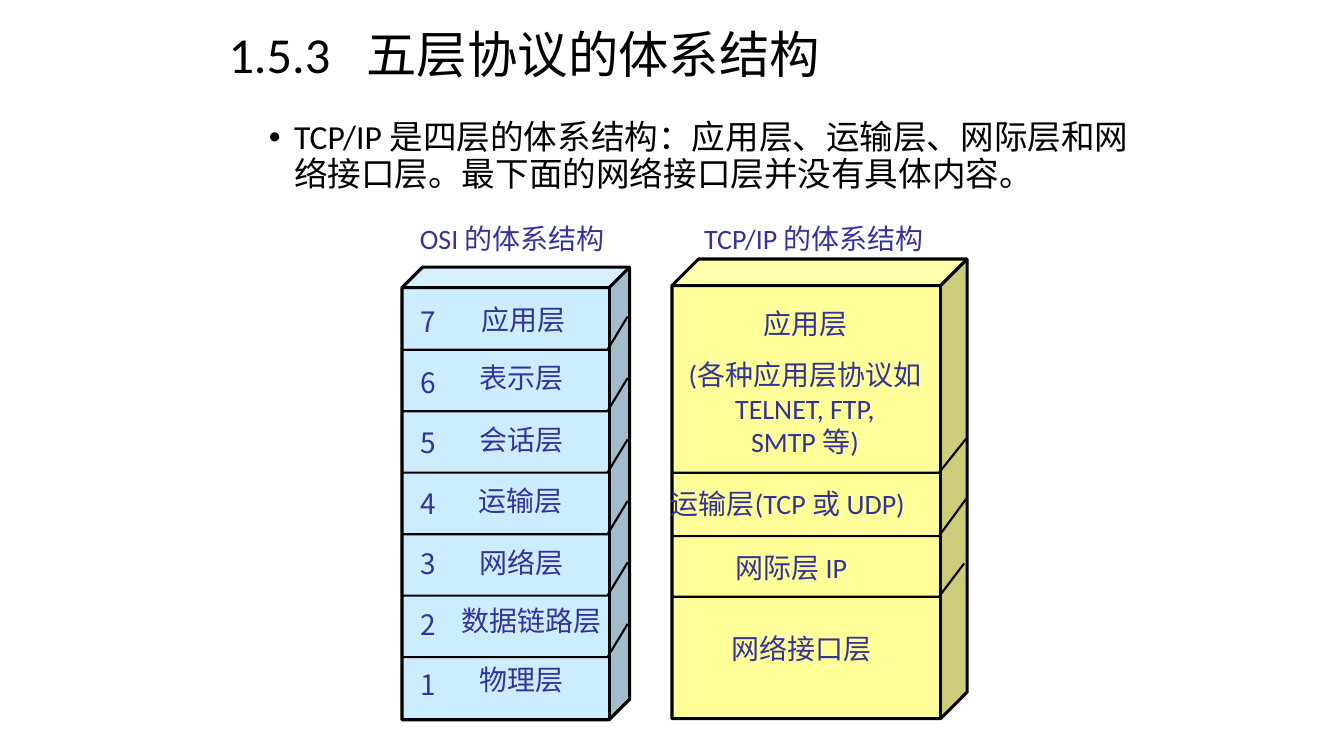
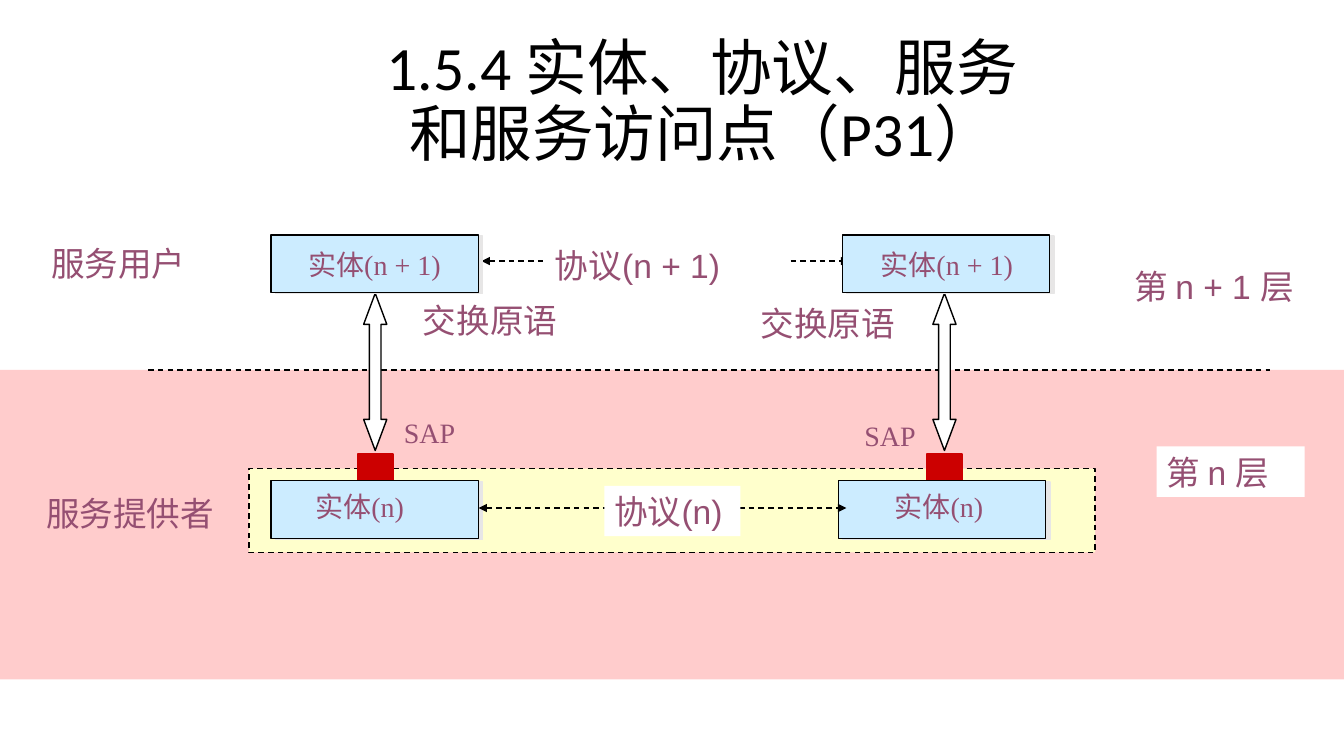
from dataclasses import dataclass

from lxml import etree
from pptx import Presentation
from pptx.dml.color import RGBColor
from pptx.enum.dml import MSO_LINE
from pptx.enum.shapes import MSO_CONNECTOR, MSO_SHAPE
from pptx.enum.text import MSO_ANCHOR, MSO_AUTO_SIZE, PP_ALIGN
from pptx.oxml.ns import qn
from pptx.util import Inches, Pt

CUBE = MSO_SHAPE.CUBE
RECTANGLE = MSO_SHAPE.RECTANGLE
UP_DOWN_ARROW = MSO_SHAPE.UP_DOWN_ARROW
STRAIGHT = MSO_CONNECTOR.STRAIGHT
DASH = MSO_LINE.DASH
LEFT, CENTER = PP_ALIGN.LEFT, PP_ALIGN.CENTER
MIDDLE = MSO_ANCHOR.MIDDLE
GROW, FIXED = MSO_AUTO_SIZE.SHAPE_TO_FIT_TEXT, MSO_AUTO_SIZE.NONE


@dataclass(frozen=True)
class Theme:
    black: str = "000000"
    white: str = "FFFFFF"
    blue: str = "CCECFF"
    yellow: str = "FFFF99"
    pale_yellow: str = "FFFFCC"
    pink: str = "FFCCCC"
    red: str = "CC0000"
    navy: str = "333399"
    plum: str = "954F72"
    shadow: str = "E7E6E6"
    sans: str = "Calibri"
    serif: str = "Times New Roman"
    label_sans: str = "Arial"
    number_sans: str = "Noto Sans CJK SC"
    small: int = 20
    medium: int = 24
    title: int = 36
    large_title: int = 44
    thin: float = 1
    divider: float = 1.5
    heavy: float = 2.25


THEME = Theme()


def grid(cells):
    """Length of a number of grid cells; ten columns or rows make an inch."""
    return Inches(cells / 10)


def color(value):
    return RGBColor.from_string(value)


class Deck:
    def __init__(self):
        self.presentation = Presentation()
        self.presentation.slide_width = grid(133.4)
        self.presentation.slide_height = grid(75)
        self.shapes = None

    def new_slide(self):
        layout = self.presentation.slide_layouts[6]
        self.shapes = self.presentation.slides.add_slide(layout).shapes

    def text(self, box, lines, size=THEME.small, font=THEME.serif, ink=THEME.plum,
             fill=None, wrap=False, align=LEFT, spacing=None):
        shape = self.shapes.add_textbox(*map(grid, box))
        if fill:
            shape.fill.solid()
            shape.fill.fore_color.rgb = color(fill)
        frame = shape.text_frame
        frame.text = lines
        frame.word_wrap = wrap
        frame.auto_size = FIXED if wrap else GROW
        if not wrap and align == LEFT:
            frame.margin_right = 0
        for paragraph in frame.paragraphs:
            paragraph.alignment = align
            if spacing:
                paragraph.line_spacing = spacing
            for run in paragraph.runs:
                run.font.size = Pt(size)
                run.font.name = font
                run.font.color.rgb = color(ink)
        return frame

    def title(self, box, lines, size, align=LEFT, tab=None):
        frame = self.text(box, lines, size, THEME.sans, THEME.black,
                          wrap=True, align=align, spacing=0.9)
        frame.vertical_anchor = MIDDLE
        if tab:
            properties = frame.paragraphs[0]._p.get_or_add_pPr()
            tabs = etree.SubElement(properties, qn("a:tabLst"))
            etree.SubElement(tabs, qn("a:tab"), pos=str(grid(tab)), algn="l")

    def bullet(self, box, line):
        frame = self.text(box, line, THEME.medium, THEME.sans, THEME.black,
                          wrap=True, spacing=0.9)
        properties = frame.paragraphs[0]._p.get_or_add_pPr()
        properties.set("marL", str(grid(2.5)))
        properties.set("indent", str(-grid(2.5)))
        etree.SubElement(properties, qn("a:buFont"), typeface="Arial")
        etree.SubElement(properties, qn("a:buChar"), char="•")

    def stroke(self, line, ink, width, dashed=False):
        line.color.rgb = color(ink)
        line.width = Pt(width)
        if dashed:
            line.dash_style = DASH

    def shape(self, kind, box, fill, outline=None, width=THEME.thin,
              dashed=False, guides=None):
        """Preset shape; guides maps each adjustment name to its share."""
        shape = self.shapes.add_shape(kind, *map(grid, box))
        shape.shadow.inherit = False
        shape.fill.solid()
        shape.fill.fore_color.rgb = color(fill)
        if outline:
            self.stroke(shape.line, outline, width, dashed)
        else:
            shape.line.fill.background()
        if guides:
            geometry = shape._element.spPr.find(qn("a:prstGeom"))
            values = geometry.find(qn("a:avLst"))
            for guide in list(values):
                values.remove(guide)
            for name, share in guides.items():
                etree.SubElement(values, qn("a:gd"), name=name,
                                 fmla=f"val {round(share * 100000)}")
        return shape

    def fold(self, left, edge, right, top, bottom):
        """Divider that runs over a cube's side and then across its front."""
        builder = self.shapes.build_freeform(grid(right), grid(top))
        builder.add_line_segments(
            [(grid(edge), grid(bottom)), (grid(left), grid(bottom))], close=False)
        shape = builder.convert_to_shape()
        shape.shadow.inherit = False
        shape.fill.background()
        self.stroke(shape.line, THEME.black, THEME.divider)

    def dashed_line(self, left, right, row, arrows=False):
        connector = self.shapes.add_connector(
            STRAIGHT, grid(left), grid(row), grid(right), grid(row))
        self.stroke(connector.line, THEME.black, THEME.thin, dashed=True)
        if arrows:
            line = connector.line._get_or_add_ln()
            for end in ("a:headEnd", "a:tailEnd"):
                etree.SubElement(line, qn(end), type="triangle")
        etree.SubElement(connector._element.spPr, qn("a:effectLst"))

    def entity(self, left, top, label_box, label):
        """Protocol entity: a box with a soft offset shadow and its label."""
        shape = self.shape(RECTANGLE, (left, top, 20.6, 5.7), THEME.blue, THEME.black)
        effects = shape._element.spPr.find(qn("a:effectLst"))
        shadow = etree.SubElement(effects, qn("a:outerShdw"), blurRad="0",
                                  dist=str(Pt(3.2)), dir=str(18 * 60000))
        etree.SubElement(shadow, qn("a:srgbClr"), val=THEME.shadow)
        self.text(label_box, label)


def architecture_slide(deck):
    deck.new_slide()
    deck.title((21.7, 3, 90, 5.3), "1.5.3\t五层协议的体系结构", THEME.title, tab=13.7)

    deck.shape(CUBE, (39.9, 26.5, 22.6, 44.9), THEME.blue, THEME.black,
               THEME.heavy, guides={"adj": 0.09})
    for index in range(6):
        top = 31.4 + 6.1 * index
        deck.fold(39.9, 60.3, 62.3, top, top + 3.3)
    osi_layers = [
        (46.8, 29.5, 10.3, "应用层"),
        (46.6, 35.3, 10.3, "表示层"),
        (46.6, 41.4, 10.3, "会话层"),
        (46.5, 47.5, 10.3, "运输层"),
        (46.6, 53.6, 10.3, "网络层"),
        (44.8, 59.4, 15.9, "数据链路层"),
        (46.6, 65.2, 10.3, "物理层"),
    ]
    for left, top, width, name in osi_layers:
        deck.text((left, top, width, 4.4), name, ink=THEME.navy)
    numbers = "\n".join(str(number) for number in range(7, 0, -1))
    deck.text((40.8, 27.1, 3.7, 43), numbers, font=THEME.number_sans,
              ink=THEME.navy, spacing=Pt(43.2))

    deck.shape(CUBE, (66.7, 25.7, 29.3, 45.6), THEME.yellow, THEME.black,
               THEME.heavy, guides={"adj": 0.09})
    for right, top, bottom in [(96, 43.4, 46.9), (95.9, 49.5, 53.2), (95.7, 55.9, 59.2)]:
        deck.fold(66.6, 93.2, right, top, bottom)
    sans_labels = [
        (40.7, 21.5, 21, "OSI 的体系结构"),
        (68.9, 21.5, 24.7, "TCP/IP 的体系结构"),
        (74.8, 29.9, 10.3, "应用层"),
        (65.6, 47.8, 28, "运输层(TCP 或 UDP)"),
        (72, 54.1, 14.5, "网际层 IP"),
        (71.6, 62.2, 15.9, "网络接口层"),
    ]
    for left, top, width, name in sans_labels:
        deck.text((left, top, width, 4.4), name, font=THEME.sans, ink=THEME.navy)
    deck.text((66.7, 35, 26.4, 11), "(各种应用层协议如\nTELNET, FTP,\nSMTP 等)",
              font=THEME.sans, ink=THEME.navy, align=CENTER)

    deck.bullet((25.7, 11.5, 88.2, 11.8),
                "TCP/IP 是四层的体系结构：应用层、运输层、网际层和网络接口层。"
                "最下面的网络接口层并没有具体内容。")


def entities_slide(deck):
    deck.new_slide()
    deck.shape(RECTANGLE, (0, 36.7, 133.4, 30.7), THEME.pink)
    deck.title((16.2, 2.3, 107.1, 16), "1.5.4 实体、协议、服务\v和服务访问点（P31）",
               THEME.large_title, align=CENTER)
    deck.shape(RECTANGLE, (24.7, 46.5, 84, 8.3), THEME.pale_yellow,
               THEME.black, dashed=True)
    deck.dashed_line(14.7, 126.1, 36.7)
    deck.dashed_line(47.8, 84.3, 25.9, arrows=True)

    for offset in (0, 56.5):
        deck.shape(RECTANGLE, (35.5 + offset, 45, 3.5, 2.8), THEME.red,
                   THEME.red, THEME.divider)
        deck.shape(UP_DOWN_ARROW, (36.1 + offset, 29.1, 2.3, 15.6), THEME.white,
                   THEME.black, guides={"adj1": 0.5, "adj2": 1.34})
    for left, top in [(39.1, 40.7), (84.8, 41)]:
        deck.text((left, top, 7.1, 4.4), "SAP")

    entities = [
        (26.9, 23.3, (29.6, 24.1, 15.8, 4.4), "实体(n + 1)"),
        (83.6, 23.3, (86.4, 24.1, 15.8, 4.4), "实体(n + 1)"),
        (26.9, 47.7, (30.3, 48.1, 11.5, 4.4), "实体(n)"),
        (83.2, 47.7, (87.8, 48.1, 11.5, 4.4), "实体(n)"),
    ]
    for entity in entities:
        deck.entity(*entity)
    deck.dashed_line(47.5, 84, 50.4, arrows=True)

    deck.text((54.1, 23.8, 24.1, 5), "协议(n + 1)", THEME.medium,
              THEME.label_sans, fill=THEME.white, wrap=True)
    labels = [
        (3.6, 48.4, 18.6, "服务提供者", THEME.serif, None),
        (4.1, 23.6, 15.3, "服务用户", THEME.serif, None),
        (41, 29.3, 15.3, "交换原语", THEME.serif, THEME.white),
        (74.5, 29.6, 15.3, "交换原语", THEME.serif, THEME.white),
        (60, 48.2, 13.5, "协议(n)", THEME.label_sans, THEME.white),
        (111.6, 25.9, 20.3, "第 n + 1 层", THEME.label_sans, THEME.white),
        (114.8, 44.3, 14.7, "第 n 层", THEME.label_sans, THEME.white),
    ]
    for left, top, width, name, font, fill in labels:
        deck.text((left, top, width, 5), name, THEME.medium, font, fill=fill)


def main():
    deck = Deck()
    architecture_slide(deck)
    entities_slide(deck)
    deck.presentation.save("out.pptx")


if __name__ == "__main__":
    main()
